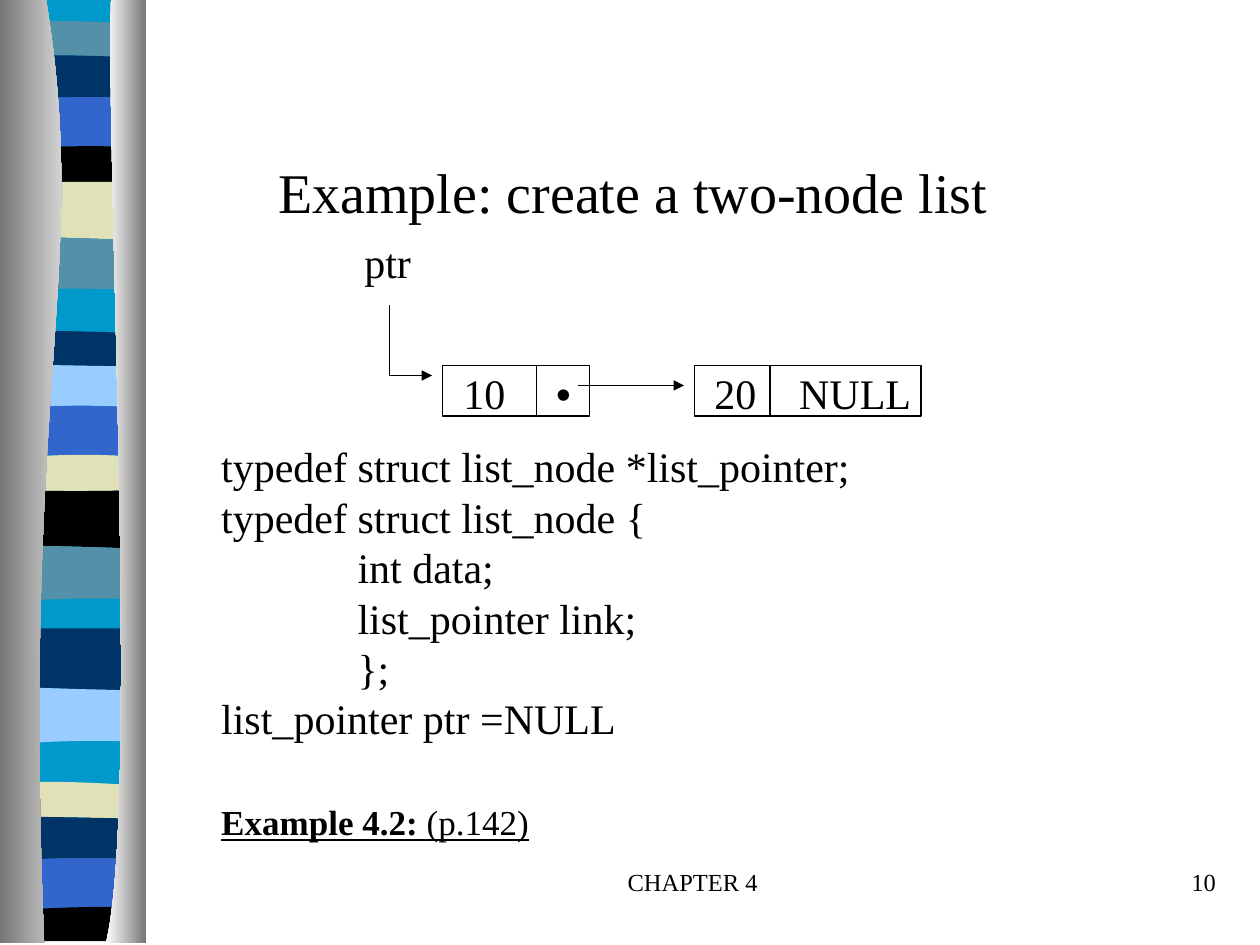
from lxml import etree
from pptx import Presentation
from pptx import util as u
from pptx.dml import color
from pptx.enum import shapes, text
from pptx.oxml import ns

Cm, Pt = u.Cm, u.Pt
HUES = {
    "cyan": "0099CC", "steel": "5490A8", "navy": "003366", "blue": "3366CC",
    "black": "000000", "sand": "E1E1B7", "sky": "99CCFF",
    "dark": "767676", "white": "FFFFFF",
}
BANDS = [
    ("cyan", 0, 0, 0), ("steel", 0.43, 0.43, 0.48),
    ("navy", 1.12, 1.12, 1.17), ("blue", 2.01, 1.96, 1.98),
    ("black", 3, 2.95, 2.97), ("sand", 3.66, 3.67, 3.66),
    ("steel", 4.75, 4.8, 4.84), ("cyan", 5.87, 5.82, 5.87),
    ("navy", 6.68, 6.68, 6.73), ("sky", 7.34, 7.37, 7.39),
    ("blue", 8.25, 8.18, 8.23), ("sand", 9.25, 9.17, 9.22),
    ("black", 9.88, 9.9, 9.88), ("steel", 11, 11.02, 11.07),
    ("cyan", 12.14, 12.07, 12.09), ("navy", 12.67, 12.67, 12.67),
    ("sky", 13.84, 13.89, 13.92), ("cyan", 15.01, 14.94, 14.96),
    ("sand", 15.77, 15.77, 15.85), ("navy", 16.46, 16.48, 16.51),
    ("blue", 17.35, 17.3, 17.32), ("black", 18.36, 18.29, 18.29),
]
CODE = [
    "typedef struct list_node *list_pointer;",
    "typedef struct list_node {",
    "             int data;",
    "             list_pointer link;",
    "             };",
    "list_pointer ptr =NULL",
]


def tint(name):
    return color.RGBColor.from_string(HUES[name])


def outline(slide, start, *parts):
    pts = [(Cm(x), Cm(y)) for part in parts for x, y in part]
    build = slide.shapes.build_freeform(Cm(start[0]), Cm(start[1]))
    build.add_line_segments(pts, close=True)
    shape = build.convert_to_shape()
    lines = iter(list(shape._element.iter(ns.qn("a:lnTo"))))
    for part in parts:
        first, *rest = [next(lines) for _ in part]
        if rest:
            first.tag = ns.qn("a:cubicBezTo")
            for other in rest:
                first.append(other[0])
                other.getparent().remove(other)
    shape.shadow.inherit = False
    shape.line.fill.background()
    return shape


def edge(row, left, right):
    a, mid, b = row
    bend = 2 * mid - (a + b) / 2
    third = (right - left) / 3
    return [(left, a), (left + third, (a + 2 * bend) / 3),
            (right - third, (b + 2 * bend) / 3), (right, b)]


def paint(shape, name):
    shape.fill.solid()
    shape.fill.fore_color.rgb = tint(name)


def pillar(slide, side, curve, start, end):
    top, low = curve[0][1], curve[-1][1]
    shape = outline(slide, curve[0], curve[1:], [(side, low)], [(side, top)])
    fill = shape.fill
    fill.gradient()
    fill.gradient_angle = 0
    for stop, name, place in zip(fill.gradient_stops, (start, end), (0, 1)):
        stop.color.rgb = tint(name)
        stop.position = place


def ribbon(slide, x, width, height):
    left, right = x + 0.15, x + 2.9
    floor = 18.97
    base = outline(slide, (left, 0), [(right, 0)], [(right, floor)], [(left, floor)])
    paint(base, "cyan")
    rows = [band[1:] for band in BANDS] + [(floor,) * 3]
    for (name, *_), top, low in zip(BANDS, rows, rows[1:]):
        if name != "cyan":
            upper = edge(top, left, right)
            lower = edge(low, left, right)[::-1]
            paint(outline(slide, upper[0], upper[1:], lower[:1], lower[1:]), name)
    inner = [(x + 0.93, 0), (x + 1.82, 5.49), (x + 0.43, 7.52), (x + 0.89, height)]
    pillar(slide, x, inner, "dark", "white")
    outer = [(x + 2.24, 0), (x + 2.13, 3.18), (x + 2.82, 16.41), (x + 2.13, height)]
    pillar(slide, x + width, outer, "white", "dark")


def style(run, size, face="Times New Roman"):
    run.font.size = Pt(size)
    run.font.name = face
    run.font.color.rgb = tint("black")


def label(slide, box, words, size, align="CENTER", wrap=True):
    frame = slide.shapes.add_textbox(*map(Cm, box)).text_frame
    frame.word_wrap = wrap
    if not wrap:
        frame.margin_left = frame.margin_right = 0
    frame.text = words
    para = frame.paragraphs[0]
    para.alignment = getattr(text.PP_ALIGN, align)
    style(para.runs[0], size)
    return frame


def line(slide, x1, y1, x2, y2, arrow=False):
    link = slide.shapes.add_connector(
        shapes.MSO_CONNECTOR.STRAIGHT, Cm(x1), Cm(y1), Cm(x2), Cm(y2))
    link.line.color.rgb = tint("black")
    link.line.width = Pt(0.75)
    if arrow:
        tail = etree.SubElement(link.line._get_or_add_ln(), ns.qn("a:tailEnd"))
        tail.set("type", "triangle")
    etree.SubElement(link._element.spPr, ns.qn("a:effectLst"))


def node(slide, x, y, width, split, data, ref, inset, tab, face="Times New Roman"):
    height = 1.02
    box = slide.shapes.add_shape(
        shapes.MSO_SHAPE.RECTANGLE, Cm(x), Cm(y), Cm(width), Cm(height))
    box.shadow.inherit = False
    box.fill.background()
    box.line.color.rgb = tint("black")
    box.line.width = Pt(0.75)
    line(slide, x + split, y, x + split, y + height)
    frame = label(slide, (x, y - 0.08, width, 1.27), data + "\t", 24, "LEFT", False)
    frame.margin_left = Cm(inset)
    para = frame.paragraphs[0]
    stops = etree.SubElement(para._p.get_or_add_pPr(), ns.qn("a:tabLst"))
    etree.SubElement(stops, ns.qn("a:tab"), pos=str(int(Cm(tab))), algn="l")
    run = para.add_run()
    run.text = ref
    style(run, 24, face)


def chain(slide, x, y):
    label(slide, (x, y, 1.45, 1.27), "ptr", 24, wrap=False)
    stem, turn = x + 0.76, y + 2.92
    line(slide, stem, y + 1.5, stem, turn)
    line(slide, stem, turn, x + 1.62, turn, True)
    row = y + 2.72
    node(slide, x + 1.83, row, 2.97, 1.9, "10", "•", 0.42, 1.87, "Arial")
    node(slide, x + 6.91, row, 4.57, 1.52, "20", "NULL", 0.4, 1.71)
    line(slide, x + 4.57, row + 0.4, x + 6.7, row + 0.4, True)


def code(slide, x, y, width, height):
    frame = slide.shapes.add_textbox(Cm(x), Cm(y), Cm(width), Cm(height)).text_frame
    frame.word_wrap = True
    frame.margin_top = frame.margin_bottom = 0
    frame.text = "\n".join(CODE)
    for para in frame.paragraphs:
        para.line_spacing = Pt(28.8)
        style(para.runs[0], 24)
    last = frame.add_paragraph()
    last.line_spacing = Pt(28.8)
    last.space_before = Pt(28)
    for words, bold in (("Example 4.2: ", True), ("(p.142)", False)):
        run = last.add_run()
        run.text = words
        style(run, 20)
        run.font.bold = bold
        run.font.underline = True


def footer(slide, y):
    label(slide, (9.94, y, 8.05, 1.27), "CHAPTER 4", 14)
    label(slide, (19.48, y, 5.28, 1.27), "10", 14, "RIGHT")


def main():
    deck = Presentation()
    deck.slide_width, deck.slide_height = Cm(25.4), Cm(19.05)
    slide = deck.slides.add_slide(deck.slide_layouts[6])
    ribbon(slide, 0, 2.95, 19.02)
    footer(slide, 17.35)
    code(slide, 4.21, 8.89, 21.19, 8.28)
    label(slide, (5.36, 3.05, 14.81, 1.63), "Example: create a two-node list", 32, wrap=False)
    chain(slide, 7.09, 4.65)
    deck.save("out.pptx")


if __name__ == "__main__":
    main()
